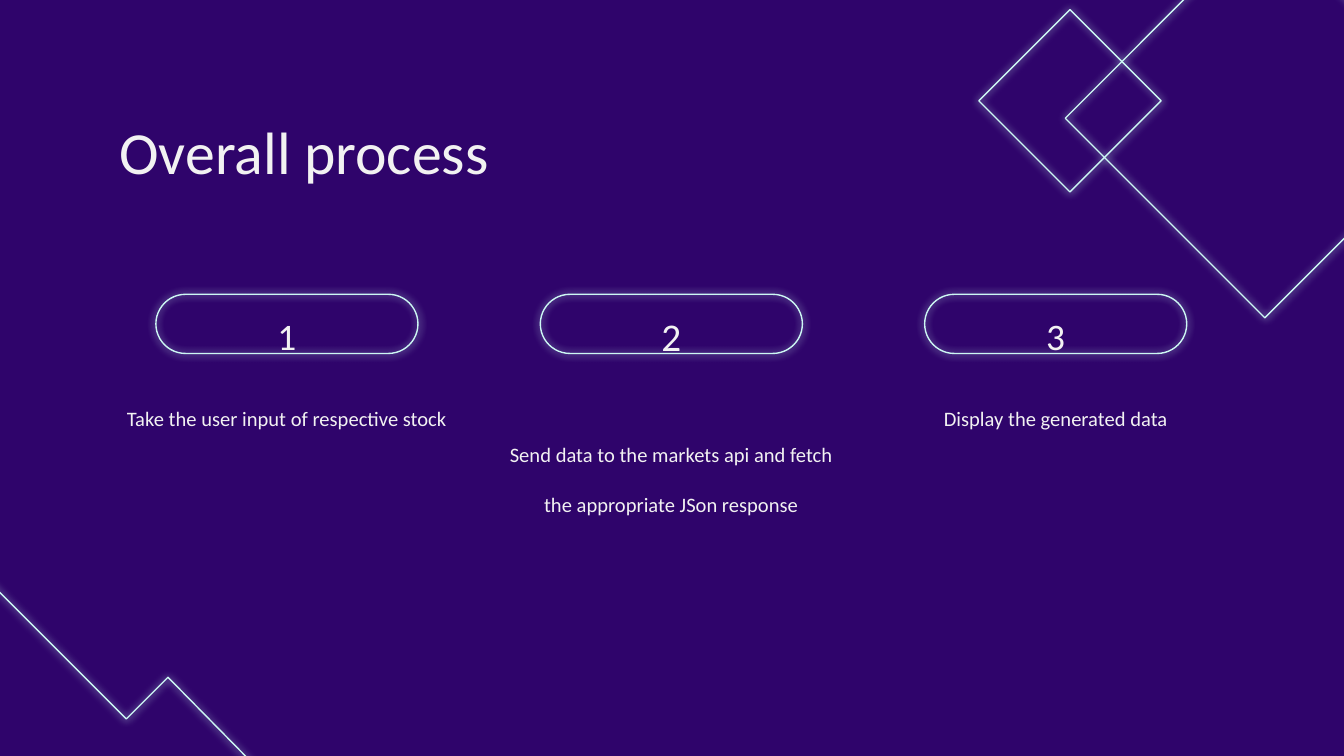
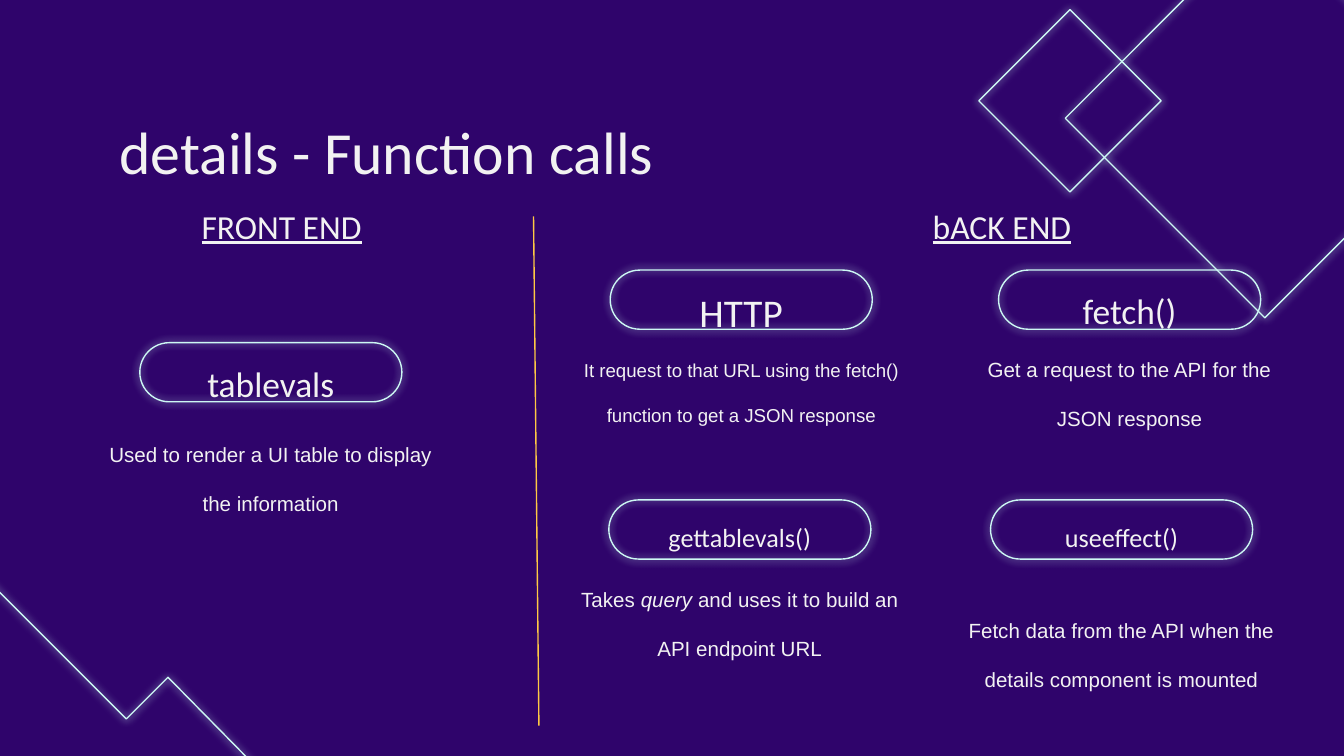
from lxml import etree
from pptx import Presentation
from pptx.dml.color import RGBColor
from pptx.enum.shapes import MSO_CONNECTOR, MSO_SHAPE
from pptx.enum.text import MSO_ANCHOR, PP_ALIGN
from pptx.oxml.ns import qn
from pptx.util import Inches, Pt

STRAIGHT = MSO_CONNECTOR.STRAIGHT
RECTANGLE, PILL = MSO_SHAPE.RECTANGLE, MSO_SHAPE.ROUNDED_RECTANGLE
TOP, MIDDLE = MSO_ANCHOR.TOP, MSO_ANCHOR.MIDDLE
LEFT, CENTER = PP_ALIGN.LEFT, PP_ALIGN.CENTER

SLIDE_WIDTH = 10
SLIDE_HEIGHT = SLIDE_WIDTH * 9 / 16
COLORS = {"background": "2F046B", "outline": "CDF8F4", "text": "F2F2F2", "divider": "FFC944"}
HEADING_FONT, DETAIL_FONT = "Calibri", "Arial"

ZIGZAG = [(-0.66, 3.75), (0.94, 5.35), (1.25, 5.04), (2.99, 6.81)]
DIAMONDS = [(8.36, -0.17, 2.1), (7.48, 0.27, 0.96)]

PILL_WIDTH, PILL_HEIGHT = 1.95, 0.44
LABEL_WIDTH, LABEL_HEIGHT = 2.04, 0.31
BODY_WIDTH, BODY_HEIGHT, BODY_OFFSET = 2.7, 0.82, 0.42
INSET = 0.1

STEP_LEFT, STEP_TOP, STEP_PITCH = 1.16, 2.19, 2.86
STEPS = [
    {"label": "1", "size": 20, "body": ["Take the user input of respective stock"]},
    {"label": "2", "size": 21, "height": 1.73,
     "body": ["Send data to the markets api and fetch the appropriate JSon response"]},
    {"label": "3", "size": 20, "body": ["Display the generated data"]},
]

FUNCTIONS = [
    {"at": (1.04, 2.55), "label": "tablevals", "size": 19, "top_inset": 0.28,
     "body": ["Used to render a UI table to display the information"]},
    {"at": (4.54, 2.01), "label": "HTTP", "size": 21, "body_size": 10,
     "body": ["It request to that URL using the fetch() function to get a JSON response"]},
    {"at": (7.43, 2.01), "label": "fetch()", "size": 19,
     "body": ["Get a request to the API for the JSON response"]},
    {"at": (4.53, 3.72), "label": "gettablevals()", "size": 14,
     "body": ["Takes ", ("query", "italic"), " and uses it to build an API endpoint URL"]},
    {"at": (7.37, 3.72), "label": "useeffect()", "size": 14, "offset": 0.65,
     "body": ["Fetch data from the API when the details component is mounted"]},
]
SIDES = [(1.17, "FRONT END"), (6.53, "bACK END")]
DIVIDER = [(3.97, 1.61), (4.01, 5.4)]


def color(name):
    return RGBColor.from_string(COLORS[name])


def add_glow_outline(shape):
    shape.fill.background()
    shape.line.color.rgb = color("outline")
    shape.line.width = Pt(0.75)
    shape.shadow.inherit = False
    effects = shape._element.spPr.find(qn("a:effectLst"))
    glow = etree.SubElement(effects, qn("a:outerShdw"), blurRad=str(Pt(4.5)), dist="0",
                            dir="0", algn="bl", rotWithShape="0")
    etree.SubElement(glow, qn("a:srgbClr"), val=COLORS["outline"])


def add_text(slide, box, runs, size, font=HEADING_FONT, align=CENTER, anchor=MIDDLE,
             spacing=1.5, top_inset=INSET):
    shape = slide.shapes.add_textbox(*map(Inches, box))
    frame = shape.text_frame
    frame.word_wrap = True
    frame.vertical_anchor = anchor
    frame.margin_left = frame.margin_right = frame.margin_bottom = Inches(INSET)
    frame.margin_top = Inches(top_inset)
    paragraph = frame.paragraphs[0]
    paragraph.alignment = align
    paragraph.line_spacing = spacing
    for item in runs:
        text, style = (item, None) if isinstance(item, str) else item
        run = paragraph.add_run()
        run.text = text
        run.font.name = font
        run.font.size = Pt(size)
        run.font.color.rgb = color("text")
        if style:
            setattr(run.font, style, True)


def add_slide(presentation, title):
    slide = presentation.slides.add_slide(presentation.slide_layouts[6])
    points = [(Inches(x), Inches(y)) for x, y in ZIGZAG]
    builder = slide.shapes.build_freeform(*points[0])
    builder.add_line_segments(points[1:], close=False)
    add_glow_outline(builder.convert_to_shape())
    for left, top, side in DIAMONDS:
        diamond = slide.shapes.add_shape(RECTANGLE, *map(Inches, (left, top, side, side)))
        diamond.rotation = 135
        add_glow_outline(diamond)
    add_text(slide, (0.79, 0.49, 8.43, 0.63), [title], 32, align=LEFT, anchor=TOP)
    return slide


def add_card(slide, card, left, top, font):
    pill = slide.shapes.add_shape(PILL, *map(Inches, (left, top, PILL_WIDTH, PILL_HEIGHT)))
    pill.adjustments[0] = 0.5
    add_glow_outline(pill)
    middle = left + PILL_WIDTH / 2
    label_top = top + (PILL_HEIGHT - LABEL_HEIGHT) / 2
    add_text(slide, (middle - LABEL_WIDTH / 2, label_top, LABEL_WIDTH, LABEL_HEIGHT),
             [card["label"]], card["size"])
    body_top = top + card.get("offset", BODY_OFFSET)
    add_text(slide, (middle - BODY_WIDTH / 2, body_top, BODY_WIDTH, card.get("height", BODY_HEIGHT)),
             card["body"], card.get("body_size", 11), font, spacing=2,
             top_inset=card.get("top_inset", INSET))


def add_divider(slide):
    ends = [Inches(value) for point in DIVIDER for value in point]
    divider = slide.shapes.add_connector(STRAIGHT, *ends)
    divider.line.color.rgb = color("divider")
    divider.line.width = Pt(0.75)
    etree.SubElement(divider._element.spPr, qn("a:effectLst"))


def main():
    presentation = Presentation()
    presentation.slide_width = Inches(SLIDE_WIDTH)
    presentation.slide_height = Inches(SLIDE_HEIGHT)
    background = presentation.slide_master.background.fill
    background.solid()
    background.fore_color.rgb = color("background")

    process = add_slide(presentation, "Overall process")
    for index, step in enumerate(STEPS):
        add_card(process, step, STEP_LEFT + index * STEP_PITCH, STEP_TOP, HEADING_FONT)

    details = add_slide(presentation, "details - Function calls")
    for function in FUNCTIONS:
        add_card(details, function, *function["at"], DETAIL_FONT)
    add_divider(details)
    for left, name in SIDES:
        add_text(details, (left, 1.28, 1.85, 0.5), [(name, "underline")], 18, anchor=TOP)

    presentation.save("out.pptx")


if __name__ == "__main__":
    main()
